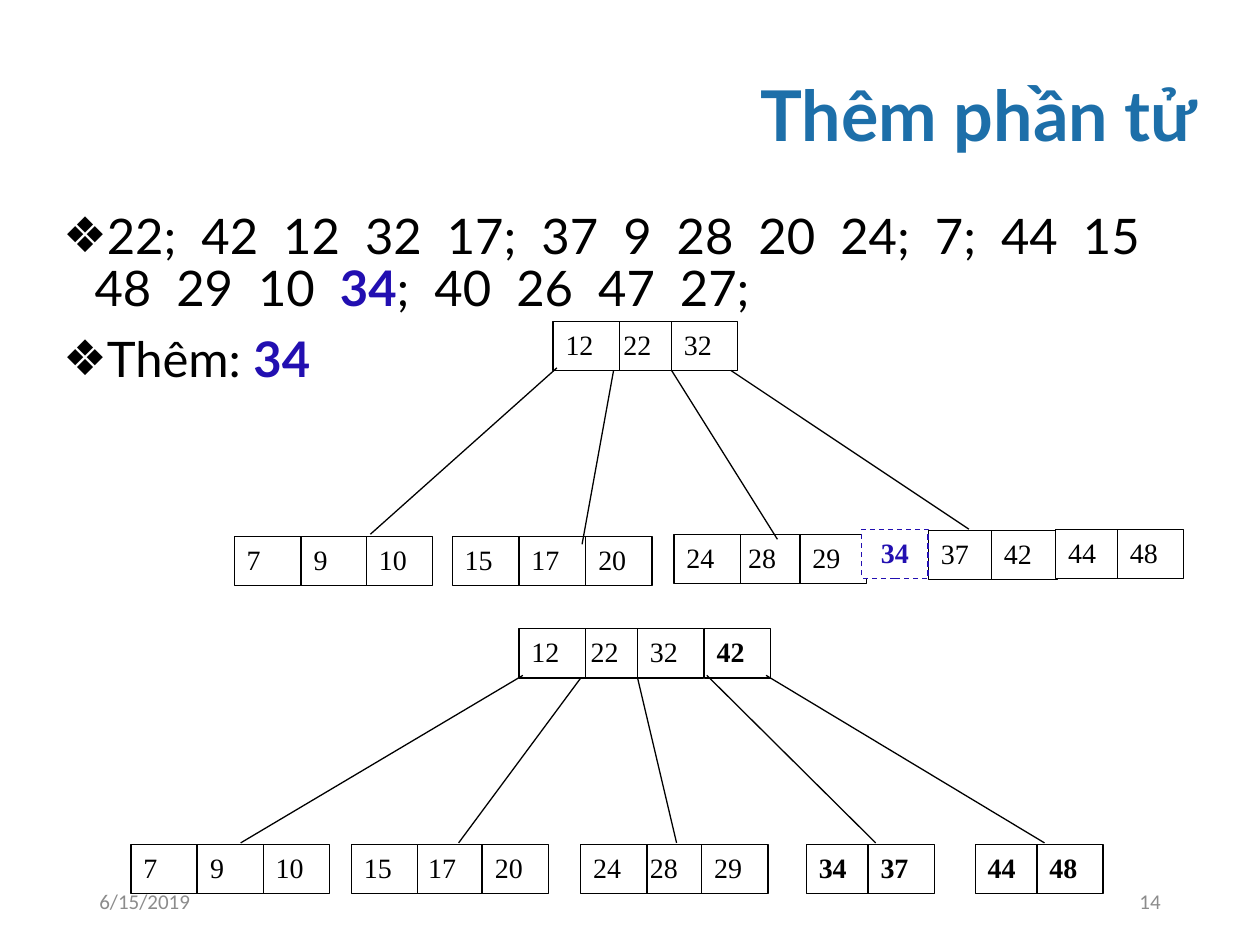
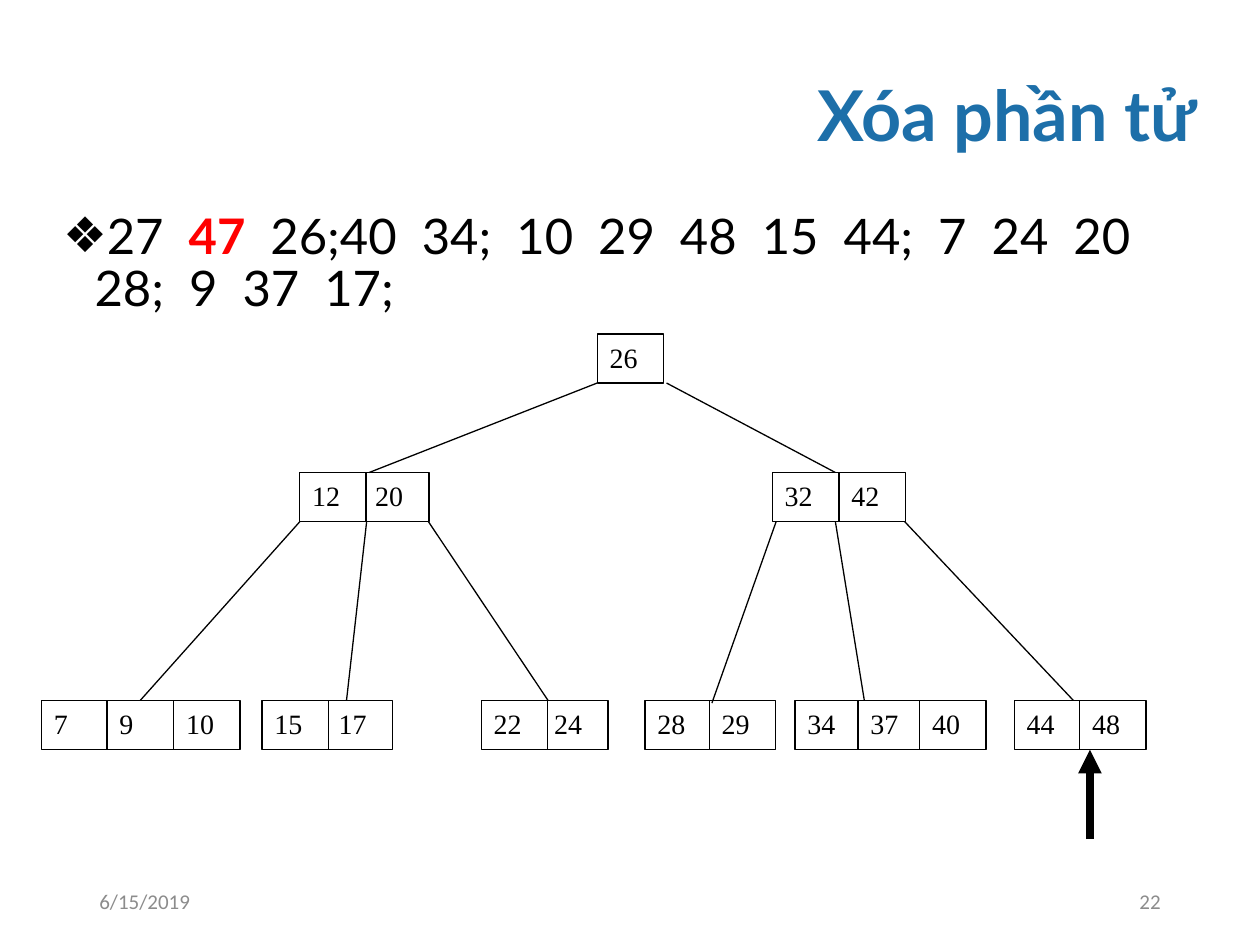
import pptx
import pptx.util
import pptx.dml.color
import pptx.enum.dml
import pptx.enum.shapes
import pptx.enum.text
import pptx.oxml.ns
from lxml import etree

Pt = pptx.util.Pt
RGB = pptx.dml.color.RGBColor
ALIGN = pptx.enum.text.PP_ALIGN
ANCHOR = pptx.enum.text.MSO_ANCHOR
DASH = pptx.enum.dml.MSO_LINE
qn = pptx.oxml.ns.qn

BLACK = RGB(0x00, 0x00, 0x00)
WHITE = RGB(0xFF, 0xFF, 0xFF)
BLUE = RGB(0x1D, 0x6F, 0xA9)
INDIGO = RGB(0x22, 0x0F, 0xB1)
RED = RGB(0xFF, 0x00, 0x00)
GRAY = RGB(0x8C, 0x8C, 0x8C)

TITLE = {"name": "Lato", "size": Pt(40), "bold": True}
BODY = {"name": "Lato", "size": Pt(28), "bold": False}
MARK = {**BODY, "bold": True}
FOOTER = {"name": "Calibri", "size": Pt(12)}
KEY = {"name": "Times New Roman", "size": Pt(16), "bold": False}
BOLD_KEY = {**KEY, "bold": True}

prs = pptx.Presentation()
prs.slide_width = pptx.util.Inches(10)
prs.slide_height = pptx.util.Inches(7.5)
COL = prs.slide_width / 100
ROW = prs.slide_height / 75
CELL_W, CELL_H = 5.25, 3.9
NEAR = COL / 5


def place(x, y, w, h):
    return [round(v) for v in (x * COL, y * ROW, w * COL, h * ROW)]


def write(p, text, fmt, color):
    r = p.add_run()
    r.text = text
    for name, value in fmt.items():
        setattr(r.font, name, value)
    r.font.color.rgb = color


slides = [
    {
        "title": "Thêm phần tử",
        "number": "14",
        "paragraphs": [
            [("22;  42  12  32  17;  37  9  28  20  24;  7;  44  15  48  29  10  ", BODY, BLACK),
             ("34", MARK, INDIGO),
             (";  40  26  47  27;", BODY, BLACK)],
            [("Thêm: ", BODY, BLACK), ("34", MARK, INDIGO)],
        ],
        "nodes": [
            (25.5, {"22": 48.5, "32": 53.3, "12": 43.9}, KEY),
            (42.6, {"7": 18.6, "9": 23.9, "10": 29.1}, KEY),
            (42.6, {"15": 35.9, "17": 41.2, "20": 46.5}, KEY),
            (42.4, {"28": 58.4, "29": 63.5, "24": 53.5}, KEY),
            (42.1, {"37": 73.7, "42": 78.7}, KEY),
            (42, {"44": 83.8, "48": 88.7}, KEY),
            (49.9, {"22": 45.9, "32": 50.6, "12": 41.2}, KEY),
            (49.9, {"42": 55.9}, BOLD_KEY),
            (67, {"7": 10.4, "9": 15.7, "10": 20.9}, KEY),
            (67, {"17": 33, "20": 38.3, "15": 27.9}, KEY),
            (67, {"28": 50.6, "29": 55.7, "24": 46.1}, KEY),
            (67, {"34": 64, "37": 68.9}, BOLD_KEY),
            (67, {"44": 77.4, "48": 82.3}, BOLD_KEY),
        ],
        "added": [(42, {"34": 68.4}, BOLD_KEY)],
        "edges": [
            (44.2, 29.2, 29.4, 42.4), (48.7, 29.4, 46.2, 43.2),
            (53.3, 29.4, 61.7, 42.8), (58, 29.4, 76.9, 42),
            (41.5, 53.6, 19.1, 66.9), (46.1, 53.8, 36.4, 66.9),
            (50.6, 53.8, 53.7, 66.9), (56.1, 53.6, 69.5, 66.9),
            (60.8, 53.6, 82.9, 66.9),
        ],
        "arrows": [],
    },
    {
        "title": "Xóa phần tử",
        "number": "22",
        "paragraphs": [
            [("27  ", BODY, BLACK),
             ("47", MARK, RED),
             ("  26;40  34;  10  29  48  15  44;  7  24  20  28;  9  37  17;", BODY, BLACK)],
        ],
        "nodes": [
            (26.5, {"26": 47.4}, KEY),
            (37.5, {"20": 28.8, "12": 23.8}, KEY),
            (37.5, {"32": 61.3, "42": 66.6}, KEY),
            (55.6, {"7": 3.3, "9": 8.5, "10": 13.8}, KEY),
            (55.6, {"17": 25.9, "15": 20.8}, KEY),
            (55.6, {"24": 43, "22": 38.2}, KEY),
            (55.6, {"28": 51.2, "29": 56.3}, KEY),
            (55.6, {"34": 63.1, "37": 68.1, "40": 73}, KEY),
            (55.6, {"44": 80.5, "48": 85.7}, KEY),
        ],
        "added": [],
        "edges": [
            (47.4, 30.4, 29.3, 37.5), (52.9, 30.4, 66.3, 37.5),
            (23.8, 41.4, 11.2, 55.6), (29.1, 41.4, 27.5, 55.6),
            (34, 41.4, 43.5, 55.6), (61.6, 41.4, 56.5, 55.8),
            (66.3, 41.4, 68.6, 55.6), (71.8, 41.4, 85.2, 55.6),
        ],
        "arrows": [(86.5, 66.6, 86.5, 59.5)],
    },
]

for content in slides:
    s = prs.slides.add_slide(prs.slide_layouts[1])
    title, body = s.shapes.title, s.placeholders[1]
    title.left, title.top, title.width, title.height = place(4, 4, 92, 10.8)
    body.left, body.top, body.width, body.height = place(4, 16.3, 92, 51.7)

    tf = title.text_frame
    tf.vertical_anchor = ANCHOR.MIDDLE
    p = tf.paragraphs[0]
    p.alignment = ALIGN.RIGHT
    p.line_spacing = 0.9
    write(p, content["title"], TITLE, BLUE)

    tf = body.text_frame
    for i, runs in enumerate(content["paragraphs"]):
        p = tf.add_paragraph() if i else tf.paragraphs[0]
        p.line_spacing = 0.9
        p.space_before = Pt(10 if i else 0)
        pPr = p._p.get_or_add_pPr()
        pPr.set("marL", "228600")
        pPr.set("indent", "-228600")
        etree.SubElement(pPr, qn("a:buChar")).set("char", "❖")
        for run in runs:
            write(p, *run)

    for x, text, align in ((6.9, "6/15/2019", ALIGN.LEFT), (70.6, content["number"], ALIGN.RIGHT)):
        tf = s.shapes.add_textbox(*place(x, 69.5, 22.5, 4)).text_frame
        tf.word_wrap = True
        tf.vertical_anchor = ANCHOR.MIDDLE
        p = tf.paragraphs[0]
        p.alignment = align
        write(p, text, FOOTER, GRAY)

    cells = []
    for nodes, color, dash, align in (
        (content["nodes"], BLACK, DASH.SOLID, ALIGN.LEFT),
        (content["added"], INDIGO, DASH.DASH, ALIGN.CENTER),
    ):
        for y, keys, fmt in nodes:
            for key, x in keys.items():
                sp = s.shapes.add_shape(
                    pptx.enum.shapes.MSO_SHAPE.RECTANGLE, *place(x, y, CELL_W, CELL_H))
                sp.shadow.inherit = False
                sp.fill.solid()
                sp.fill.fore_color.rgb = WHITE
                sp.line.color.rgb = color
                sp.line.width = Pt(0.75)
                sp.line.dash_style = dash
                tf = sp.text_frame
                tf.vertical_anchor = ANCHOR.TOP
                p = tf.paragraphs[0]
                p.alignment = align
                write(p, key, fmt, color)
                cells.append(sp)

    for lines, width in ((content["edges"], 0.75), (content["arrows"], 4.5)):
        for line in lines:
            x1, y1, x2, y2 = place(*line)
            cx = s.shapes.add_connector(
                pptx.enum.shapes.MSO_CONNECTOR.STRAIGHT, x1, y1, x2, y2)
            cx.line.color.rgb = BLACK
            cx.line.width = Pt(width)
            if lines is content["arrows"]:
                etree.SubElement(cx.line._get_or_add_ln(), qn("a:tailEnd")).set("type", "triangle")
            etree.SubElement(cx._element.spPr, qn("a:effectLst"))
            for sp in cells:
                if abs(sp.left + sp.width / 2 - x2) < NEAR and abs(sp.top - y2) < NEAR:
                    cx.end_connect(sp, 0)

prs.save("out.pptx")
